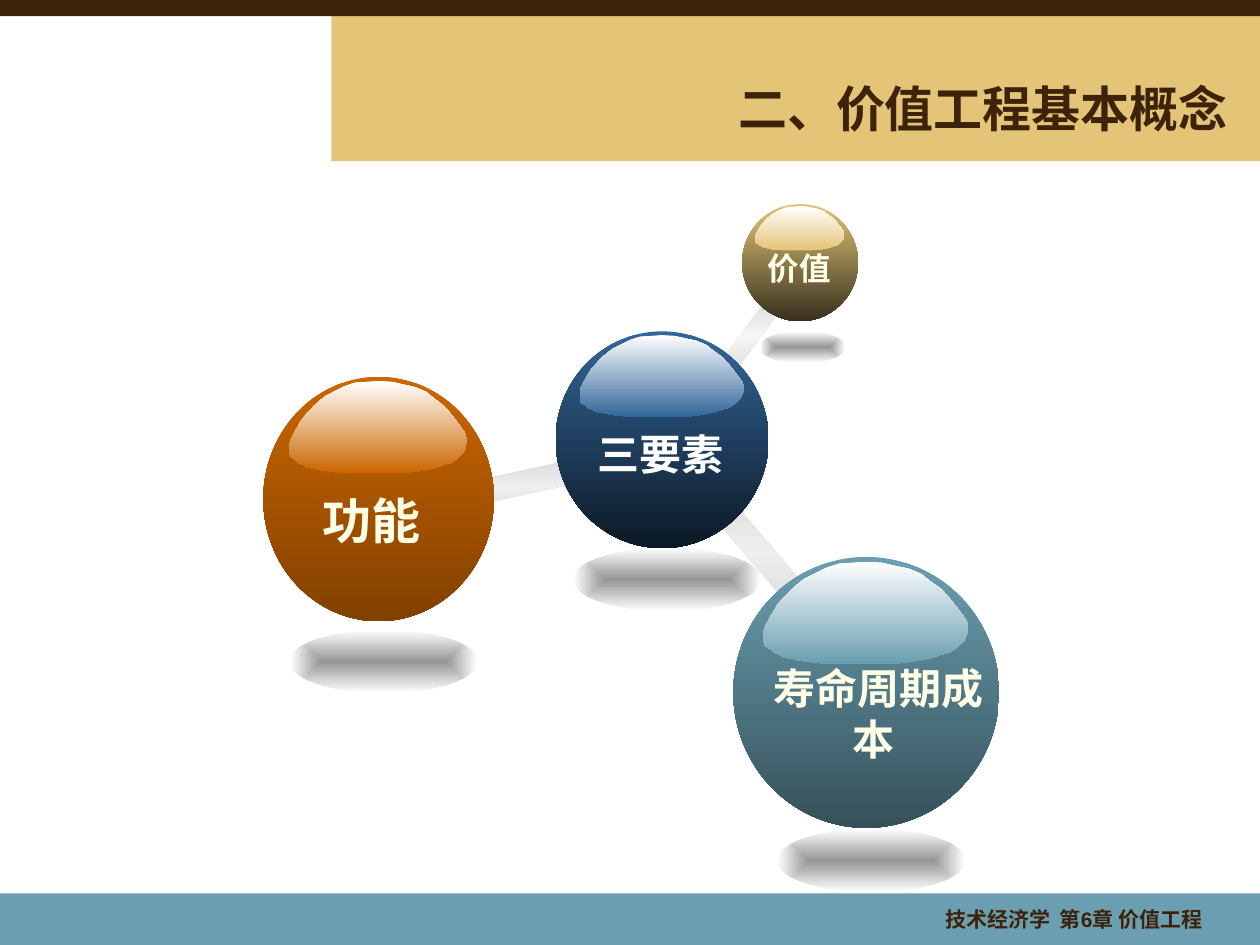
from dataclasses import dataclass

from lxml import etree
from pptx import Presentation
from pptx import util as u
from pptx.dml.color import RGBColor
from pptx.enum import shapes, text
from pptx.oxml import ns

COLUMNS, ROWS = 100, 75
CELL = u.Inches(0.1)

GLOSS_OUTLINE = [
    (99, 57), (100, 62), (100, 68), (99, 73), (98, 78), (96, 81), (94, 85), (91, 89),
    (87, 91), (83, 94), (78, 96), (73, 98), (68, 99), (63, 100), (36, 100), (31, 100),
    (26, 99), (22, 98), (18, 97), (14, 95), (10, 94), (8, 91), (5, 89), (3, 85),
    (1, 83), (0, 78), (0, 74), (0, 69), (1, 63), (4, 52), (7, 42), (11, 33),
    (15, 25), (20, 17), (26, 11), (31, 6), (37, 2), (44, 1), (50, 0), (58, 1),
    (64, 4), (71, 7), (77, 12), (82, 20), (87, 27), (91, 36), (95, 46),
]


@dataclass(frozen=True)
class Theme:
    """Colours, font and type sizes of the slide."""
    font: str = "Arial"
    brown: str = "3C230A"
    sand: str = "E4C578"
    teal: str = "6A9EB0"
    blue: str = "336699"
    orange: str = "CC6600"
    white: str = "FFFFFF"
    cream: str = "FFFFE7"
    grey: str = "DDDDDD"
    shadow: str = "969696"
    title_size: int = 28
    label_size: int = 24
    small_label_size: int = 18
    footer_size: int = 12


THEME = Theme()


@dataclass(frozen=True)
class Box:
    """A rectangle in grid columns and rows."""
    left: float
    top: float
    width: float
    height: float

    def inner(self, left, top, width, height):
        """Return the inner box given as shares of this one."""
        return Box(self.left + left * self.width, self.top + top * self.height,
                   width * self.width, height * self.height)

    def emu(self):
        """Return left, top, width and height as lengths."""
        return [u.Emu(round(value * CELL))
                for value in (self.left, self.top, self.width, self.height)]


def centred(x, y, width, height):
    """Return a box around a centre point."""
    return Box(x - width / 2, y - height / 2, width, height)


def paint(shape, color):
    """Give a shape a plain fill without line or shadow."""
    shape.shadow.inherit = False
    shape.fill.solid()
    shape.fill.fore_color.rgb = RGBColor.from_string(color)
    shape.line.fill.background()


def paint_gradient(shape, colors, angle=None):
    """Fill a shape with evenly spaced colours, linear or from the centre out."""
    paint(shape, colors[0])
    gradient = etree.Element(ns.qn("a:gradFill"), rotWithShape="1")
    stops = etree.SubElement(gradient, ns.qn("a:gsLst"))
    for index, color in enumerate(colors):
        position = round(100000 * index / (len(colors) - 1))
        stop = etree.SubElement(stops, ns.qn("a:gs"), pos=str(position))
        etree.SubElement(stop, ns.qn("a:srgbClr"), val=color)
    if angle is None:
        radial = etree.SubElement(gradient, ns.qn("a:path"), {"path": "rect"})
        etree.SubElement(radial, ns.qn("a:fillToRect"),
                         {side: "50000" for side in "ltrb"})
    else:
        etree.SubElement(gradient, ns.qn("a:lin"), ang=str(angle * 60000), scaled="1")
    properties = shape.element.spPr
    properties.replace(properties.find(ns.qn("a:solidFill")), gradient)


def add_shape(slide, kind, box):
    """Add a preset shape in a box."""
    return slide.shapes.add_shape(kind, *box.emu())


def add_text(slide, box, words, size, color, align, wrap=True):
    """Add one bold line of text, centred vertically in a box."""
    frame = slide.shapes.add_textbox(*box.emu()).text_frame
    frame.word_wrap = wrap
    frame.vertical_anchor = text.MSO_ANCHOR.MIDDLE
    frame.text = words
    paragraph = frame.paragraphs[0]
    paragraph.alignment = align
    font = paragraph.runs[0].font
    font.name, font.size, font.bold = THEME.font, u.Pt(size), True
    font.color.rgb = RGBColor.from_string(color)


def add_header(slide, box):
    """Place the dark strip, the sand panel and the title."""
    panel = add_shape(slide, shapes.MSO_SHAPE.RECTANGLE, box.inner(0.263, 0.1, 0.737, 0.9))
    paint(panel, THEME.sand)
    strip = add_shape(slide, shapes.MSO_SHAPE.RECTANGLE, box.inner(0, 0, 1, 0.1))
    paint(strip, THEME.brown)
    add_text(slide, box.inner(0.292, 0.43, 0.692, 0.48), "二、价值工程基本概念",
             THEME.title_size, THEME.brown, text.PP_ALIGN.RIGHT)


def add_footer(slide, box):
    """Place the footer band and its course line."""
    paint(add_shape(slide, shapes.MSO_SHAPE.RECTANGLE, box), THEME.teal)
    add_text(slide, box.inner(0.618, 0.1, 0.346, 0.8), "技术经济学  第6章 价值工程",
             THEME.footer_size, THEME.brown, text.PP_ALIGN.RIGHT)


def add_beam(slide, box, rotation, middle, angle):
    """Place a rotated bar that joins two balls."""
    beam = add_shape(slide, shapes.MSO_SHAPE.RECTANGLE, box)
    beam.rotation = rotation
    paint_gradient(beam, [THEME.grey, middle, THEME.grey], angle)


def add_gloss(slide, box):
    """Draw the highlight outline in a box and return it."""
    left, top, width, height = box.emu()
    points = [(left + x * width / 100, top + y * height / 100) for x, y in GLOSS_OUTLINE]
    builder = slide.shapes.build_freeform(*points[0])
    builder.add_line_segments(points[1:], close=True)
    return builder.convert_to_shape()


def add_ball(slide, box, shadow_box, colors, words, label_centre, size, label_color):
    """Place a glossy ball with its floor shadow and label."""
    shadow = add_shape(slide, shapes.MSO_SHAPE.OVAL, shadow_box)
    paint_gradient(shadow, [THEME.shadow, THEME.white])
    ball = add_shape(slide, shapes.MSO_SHAPE.OVAL, box)
    paint_gradient(ball, colors, 90)
    gloss = add_gloss(slide, box.inner(0.113, 0.017, 0.77, 0.377))
    paint_gradient(gloss, [THEME.white, colors[0]], 90)
    add_text(slide, centred(*label_centre, box.width, size / 5), words, size,
             label_color, text.PP_ALIGN.CENTER, wrap=False)


def add_diagram(slide, box):
    """Place the hub ball, its three satellites and the beams between them."""
    def at(left, top, width, height):
        return Box(box.left + left, box.top + top, width, height)

    for place, rotation, middle, angle in [
        (at(55, 29.9, 10.4, 2), 229.5, "EEEEEE", 220),
        (at(34.2, 25, 10.6, 1.9), 347.6, "EEEEEE", 102),
        (at(56.3, 13.2, 6.5, 1.4), 306.6, "F5F5F5", 143),
    ]:
        add_beam(slide, place, rotation, middle, angle)

    large, small = (14.9, 5), (6.8, 2.5)
    for place, shadow, colors, words, centre, size, color in [
        (at(44.1, 13.5, 16.9, 17.2), at(45.5, 30.7, *large), [THEME.blue, "0C1925"],
         "三要素", (52.4, 23.2), THEME.label_size, THEME.white),
        (at(58.9, 3.4, 9.2, 9.3), at(60.3, 13.5, *small), [THEME.sand, "37301D"],
         "价值 ", (63.7, 8.5), THEME.small_label_size, THEME.cream),
        (at(20.9, 17.1, 18.3, 19.4), at(23, 37.2, *large), [THEME.orange, "824100"],
         "功能 ", (29.9, 28.5), THEME.title_size, THEME.cream),
        (at(58.2, 31.4, 21.1, 21.5), at(61.7, 53, *large), [THEME.teal, "36515A"],
         "寿命周期成本 ", (69.7, 43.8), THEME.label_size, THEME.cream),
    ]:
        label_centre = (box.left + centre[0], box.top + centre[1])
        add_ball(slide, place, shadow, colors, words, label_centre, size, color)


def main():
    """Build and save the presentation."""
    presentation = Presentation()
    presentation.slide_width = COLUMNS * CELL
    presentation.slide_height = ROWS * CELL
    slide = presentation.slides.add_slide(presentation.slide_layouts[6])
    add_header(slide, Box(0, 0, COLUMNS, 12.8))
    add_footer(slide, Box(0, 70.9, COLUMNS, ROWS - 70.9))
    add_diagram(slide, Box(0, 12.8, COLUMNS, 58.1))
    presentation.save("out.pptx")


if __name__ == "__main__":
    main()
